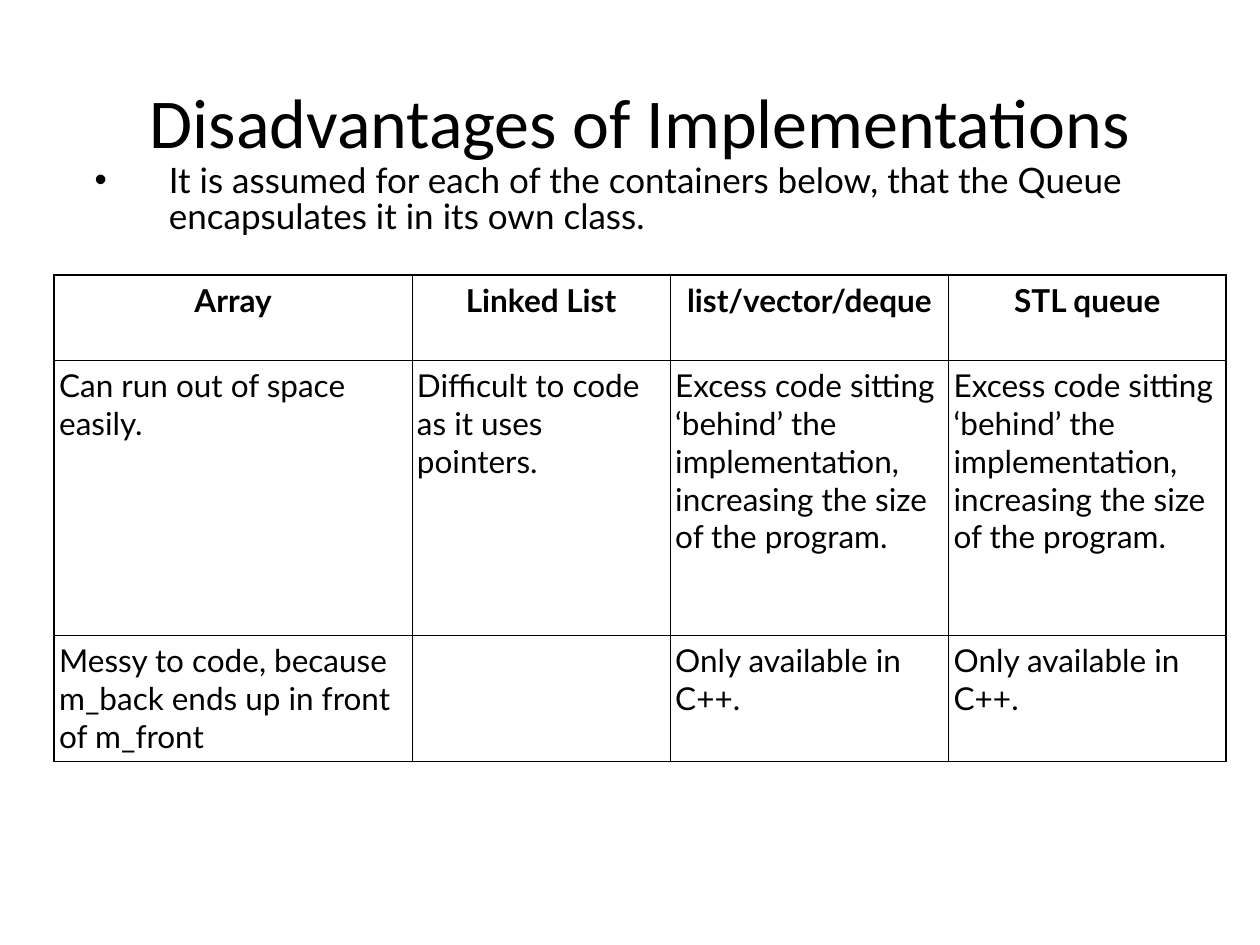
from lxml.etree import SubElement
from pptx import Presentation
from pptx.dml.color import RGBColor
from pptx.enum.text import MSO_ANCHOR, MSO_AUTO_SIZE, PP_ALIGN
from pptx.oxml.ns import qn
from pptx.util import Inches, Pt

BLACK = "000000"
COLUMN_WIDTHS = [2.84, 2.05, 2.21, 2.2]
ROW_HEIGHTS = [0.68, 2.18, 0.98]
EXCESS_CODE = ("Excess code sitting ‘behind’ the implementation, "
               "increasing the size of the program.")
ONLY_CPP = "Only available in C++."
DISADVANTAGES = [
    ["Array", "Linked List", "list/vector/deque", "STL queue"],
    ["Can run out of space easily.", "Difficult to code as it uses pointers.",
     EXCESS_CODE, EXCESS_CODE],
    ["Messy to code, because m_back ends up in front of m_front", "",
     ONLY_CPP, ONLY_CPP],
]


def color(hex_code):
    return RGBColor.from_string(hex_code)


def set_font(para, name, size, bold=False):
    para.font.name = name
    para.font.size = Pt(size)
    para.font.bold = bold
    para.font.color.rgb = color(BLACK)


def place(shape, left, top, width, height):
    shape.left, shape.top = Inches(left), Inches(top)
    shape.width, shape.height = Inches(width), Inches(height)


def add_title(page, box):
    title = page.shapes.title
    place(title, *box)
    frame = title.text_frame
    frame.text = "Disadvantages of Implementations"
    frame.auto_size = MSO_AUTO_SIZE.NONE
    frame.vertical_anchor = MSO_ANCHOR.MIDDLE
    para = frame.paragraphs[0]
    para.alignment = PP_ALIGN.CENTER
    set_font(para, "Calibri", 40)


def add_bullet(para, indent):
    properties = para._p.get_or_add_pPr()
    properties.set("marL", str(Inches(indent)))
    properties.set("indent", str(-Inches(indent)))
    bullet_color = SubElement(properties, qn("a:buClr"))
    SubElement(bullet_color, qn("a:srgbClr"), val=BLACK)
    SubElement(properties, qn("a:buFont"), typeface="Arial")
    SubElement(properties, qn("a:buChar"), char="•")


def add_assumption(page, box):
    body = page.placeholders[1]
    place(body, *box)
    frame = body.text_frame
    frame.text = ("It is assumed for each of the containers below, "
                  "that the Queue encapsulates it in its own class.")
    frame.word_wrap = True
    frame.auto_size = MSO_AUTO_SIZE.SHAPE_TO_FIT_TEXT
    frame.vertical_anchor = MSO_ANCHOR.TOP
    frame.margin_left = frame.margin_right = 0
    frame.margin_top = frame.margin_bottom = 0
    para = frame.paragraphs[0]
    add_bullet(para, 0.59)
    para.line_spacing = 0.85
    para.space_before = Pt(0)
    set_font(para, "Lato", 20)


def set_borders(cell, outer_sides):
    """Draw thin borders, with thicker ones on the table's outer sides."""
    properties = cell._tc.get_or_add_tcPr()
    for side in "LRTB":
        width = Pt(1.08 if side in outer_sides else 0.45)
        line = SubElement(properties, qn(f"a:ln{side}"), w=str(width))
        fill = SubElement(line, qn("a:solidFill"))
        SubElement(fill, qn("a:srgbClr"), val=BLACK)


def fill_cell(cell, text, is_header):
    cell.fill.background()
    cell.margin_left = cell.margin_right = Inches(0.04)
    cell.margin_top = cell.margin_bottom = Inches(0.05)
    cell.text = text
    para = cell.text_frame.paragraphs[0]
    para.alignment = PP_ALIGN.CENTER if is_header else PP_ALIGN.LEFT
    set_font(para, "Lato", 18, bold=is_header)


def add_comparison(page, left, top):
    table = page.shapes.add_table(
        len(ROW_HEIGHTS), len(COLUMN_WIDTHS), Inches(left), Inches(top),
        Inches(sum(COLUMN_WIDTHS)), Inches(sum(ROW_HEIGHTS))).table
    table.first_row = table.horz_banding = False
    for column, width in zip(table.columns, COLUMN_WIDTHS):
        column.width = Inches(width)
    for row, height in zip(table.rows, ROW_HEIGHTS):
        row.height = Inches(height)

    last_column = len(COLUMN_WIDTHS) - 1
    for row_index, texts in enumerate(DISADVANTAGES):
        for column_index, text in enumerate(texts):
            cell = table.cell(row_index, column_index)
            outer_sides = (("T" if row_index == 0 else "")
                           + ("L" if column_index == 0 else "")
                           + ("R" if column_index == last_column else ""))
            set_borders(cell, outer_sides)
            fill_cell(cell, text, row_index == 0)


def main():
    deck = Presentation()
    deck.slide_width, deck.slide_height = Inches(10), Inches(7.5)
    page = deck.slides.add_slide(deck.slide_layouts[1])
    add_title(page, (0.83, 0.6, 8.5, 0.71))
    add_assumption(page, (0.75, 1.31, 8.35, 0.57))
    add_comparison(page, 0.43, 2.18)
    deck.save("out.pptx")


if __name__ == "__main__":
    main()
